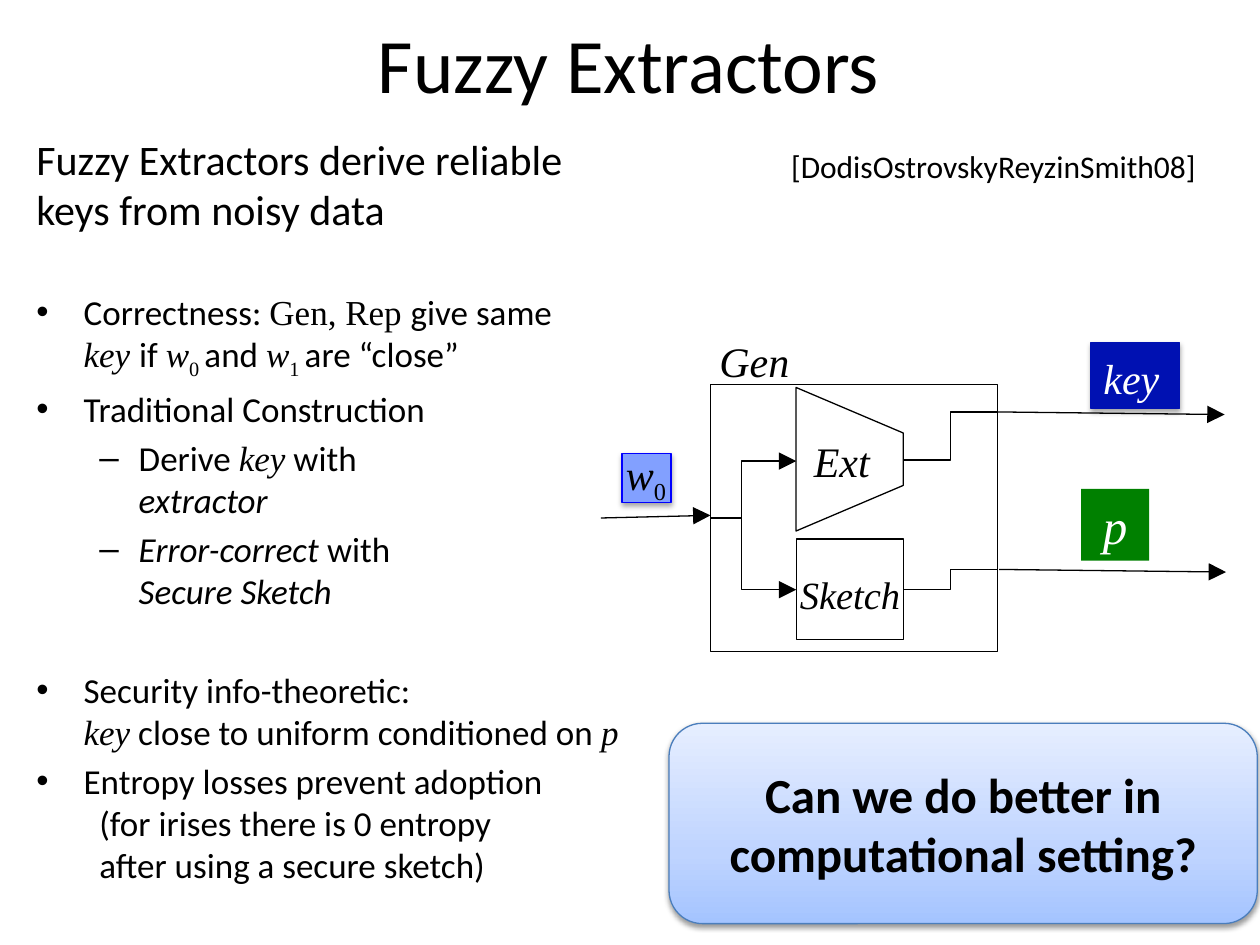
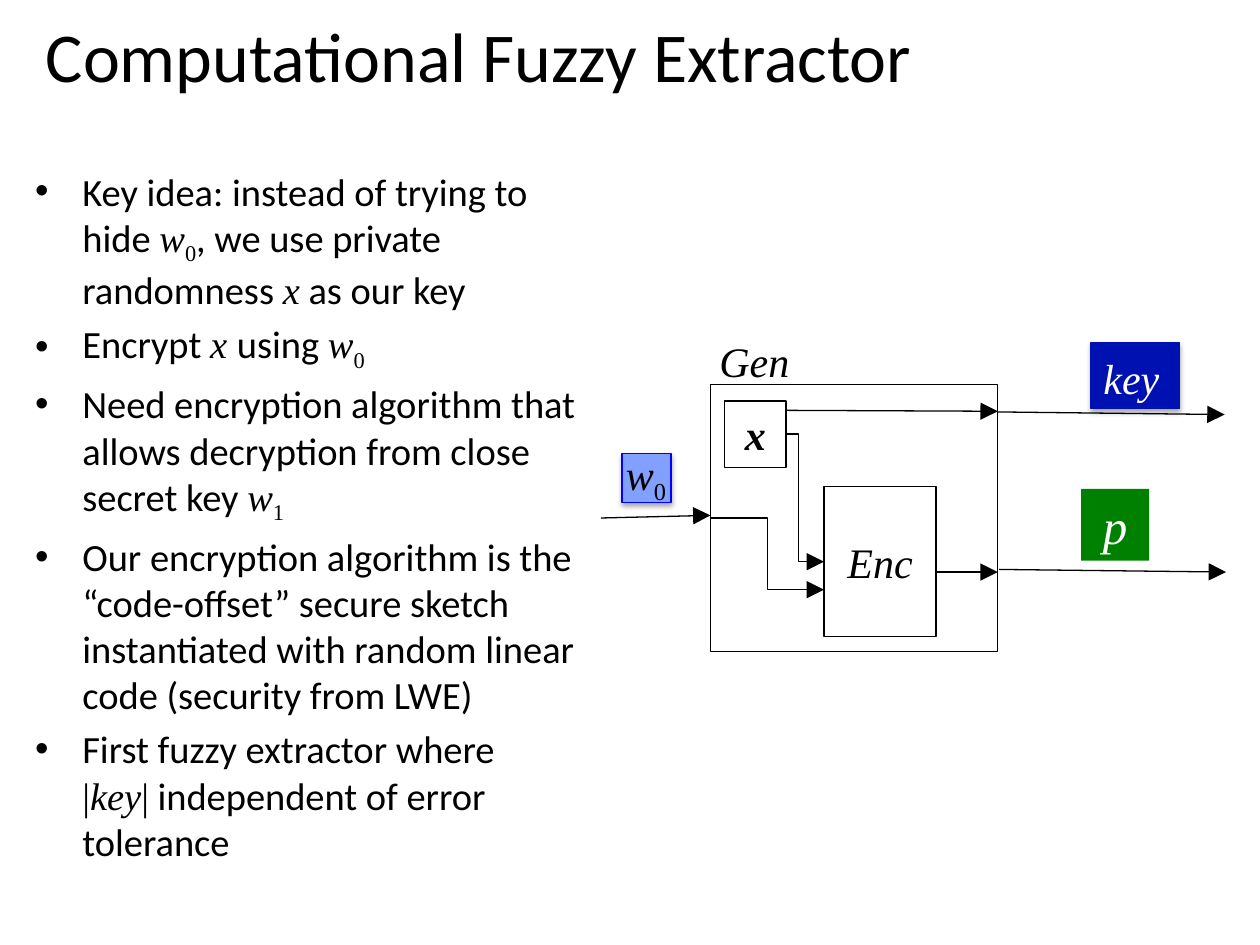
from lxml.etree import SubElement
from pptx import Presentation
from pptx.dml.color import RGBColor
from pptx.enum.shapes import MSO_CONNECTOR, MSO_SHAPE
from pptx.enum.text import MSO_ANCHOR, MSO_AUTO_SIZE, PP_ALIGN
from pptx.oxml.ns import qn
from pptx.util import Pt

SANS, SERIF = "Calibri", "Times New Roman"
BLACK, WHITE = "000000", "FFFFFF"
MATH = {"name": SERIF, "italic": True}
ROMAN = {"name": SERIF}
SLANT = {"italic": True}
SUB = {"name": SERIF, "baseline": -25}


def color(code):
    return RGBColor.from_string(code)


def assign(target, values):
    for key, value in values.items():
        setattr(target, key, value)


def math(text):
    return text, MATH


def sub(text):
    return text, SUB


class Slides:
    def __init__(self):
        self.deck = Presentation()
        assign(self.deck, {"slide_width": Pt(720), "slide_height": Pt(540)})
        self.page = None

    def start(self, title, size, left, top, width):
        self.page = self.deck.slides.add_slide(self.deck.slide_layouts[6])
        box = self.text(left, top, width, 90, [title], size, wrap=True, align=PP_ALIGN.CENTER)
        assign(box.text_frame, {"vertical_anchor": MSO_ANCHOR.MIDDLE, "auto_size": MSO_AUTO_SIZE.NONE})

    def spans(self, para, parts, size, ink=BLACK, **base):
        for part in parts:
            text, style = (part, {}) if isinstance(part, str) else part
            style = {"name": SANS, "size": Pt(size), **base, **style}
            shift = style.pop("baseline", None)
            for index, line in enumerate(text.split("\n")):
                if index:
                    para.add_line_break()
                if not line:
                    continue
                span = para.add_run()
                span.text = line
                assign(span.font, style)
                span.font.color.rgb = color(ink)
                if shift:
                    span._r.get_or_add_rPr().set("baseline", str(shift * 1000))

    def text(self, left, top, width, height, parts, size, ink=BLACK, wrap=False, align=PP_ALIGN.LEFT):
        box = self.page.shapes.add_textbox(Pt(left), Pt(top), Pt(width), Pt(height))
        assign(box.text_frame, {"word_wrap": wrap, "auto_size": MSO_AUTO_SIZE.SHAPE_TO_FIT_TEXT})
        para = box.text_frame.paragraphs[0]
        para.alignment = align
        self.spans(para, parts, size, ink)
        return box

    def body(self, left, top, width, height, size, items, intro=None):
        box = self.page.shapes.add_textbox(Pt(left), Pt(top), Pt(width), Pt(height))
        box.text_frame.word_wrap = True
        para = box.text_frame.paragraphs[0]
        if intro:
            para.space_before = Pt(4.8)
            self.spans(para, [intro], 24)
            para = box.text_frame.add_paragraph()
        for index, (level, gap, parts) in enumerate(items):
            if index:
                para = box.text_frame.add_paragraph()
            assign(para, {"level": level, "space_before": Pt(size * 0.2 + gap)})
            margin, hang, mark = [(27, 27, "•"), (58.5, 22.5, "–")][level]
            props = para._p.get_or_add_pPr()
            for key, value in {"marL": Pt(margin), "indent": -Pt(hang), "defTabSz": Pt(36)}.items():
                props.set(key, str(int(value)))
            SubElement(props, qn("a:buFont"), typeface="Arial")
            SubElement(props, qn("a:buChar"), char=mark)
            self.spans(para, parts, size)

    def shape(self, left, top, width, height, kind=MSO_SHAPE.RECTANGLE, fill=None, line=BLACK, weight=0.75):
        shape = self.page.shapes.add_shape(kind, Pt(left), Pt(top), Pt(width), Pt(height))
        shape.shadow.inherit = False
        if fill:
            shape.fill.solid()
            shape.fill.fore_color.rgb = color(fill)
        else:
            shape.fill.background()
        if line:
            shape.line.color.rgb = color(line)
            shape.line.width = Pt(weight)
        else:
            shape.line.fill.background()
        return shape

    def label(self, shape, text, size, ink=BLACK, inset=None, **style):
        frame = shape.text_frame
        frame.word_wrap = True
        if inset:
            assign(frame, {f"margin_{side}": Pt(inset) for side in ("left", "top", "right", "bottom")})
        para = frame.paragraphs[0]
        para.alignment = PP_ALIGN.CENTER
        self.spans(para, [text], size, ink, **style)

    def shadow(self, shape, distance, opacity):
        effects = shape._element.spPr.find(qn("a:effectLst"))
        outer = SubElement(effects, qn("a:outerShdw"), blurRad=str(Pt(3.1)), dist=str(Pt(distance)),
                           dir="5400000", rotWithShape="0")
        tint = SubElement(outer, qn("a:srgbClr"), val=BLACK)
        SubElement(tint, qn("a:alpha"), val=str(opacity * 1000))

    def gradient(self, shape, stops):
        shape.fill.gradient()
        shape.fill.gradient_angle = 90
        stop_list = shape._element.spPr.find(".//" + qn("a:gsLst"))
        for stop in list(stop_list):
            stop_list.remove(stop)
        for place, code in stops:
            stop = SubElement(stop_list, qn("a:gs"), pos=str(place * 1000))
            SubElement(stop, qn("a:srgbClr"), val=code)

    def wire(self, start, end, bend=None, arrow=True):
        kind = MSO_CONNECTOR.ELBOW if bend else MSO_CONNECTOR.STRAIGHT
        wire = self.page.shapes.add_connector(kind, *[Pt(value) for value in start + end])
        wire.line.color.rgb = color(BLACK)
        wire.line.width = Pt(0.75)
        props = wire._element.spPr
        if arrow:
            SubElement(props.find(qn("a:ln")), qn("a:tailEnd"), type="triangle", w="lg", len="lg")
        SubElement(props, qn("a:effectLst"))
        if bend:
            guides = props.find(".//" + qn("a:avLst"))
            if guides is None:
                guides = SubElement(props.find(qn("a:prstGeom")), qn("a:avLst"))
            SubElement(guides, qn("a:gd"), name="adj1", fmla=f"val {round(bend * 100000)}")

    def generator(self):
        key_box = self.shape(623.5, 195.8, 50.4, 37.5, fill="0011B2", line="0011B2")
        input_box = self.shape(355.5, 259.2, 28, 28, fill="82A0FF", line="0000FF")
        for box in (key_box, input_box):
            self.shadow(box, 1.8, 35)
        self.shape(406, 219.6, 164.2, 152.6)
        self.text(404, 188, 62.6, 36, [math("Gen")], 24)
        self.wire((343.4, 296), (406, 294.5))
        self.wire((570.2, 235.4), (699.8, 236.9))
        self.wire((571, 325.4), (700.6, 326.9))
        self.text(350.6, 252.7, 41.8, 36, [math("w"), sub("0")], 24)
        self.text(623.5, 198, 54.7, 36, [math("key")], 24, WHITE)
        public_box = self.shape(617.8, 279.4, 38.9, 41, fill="008000", line=None)
        self.label(public_box, "p", 28, WHITE, **MATH)
        assign(public_box.text_frame, {"word_wrap": False, "auto_size": MSO_AUTO_SIZE.SHAPE_TO_FIT_TEXT})


slides = Slides()
INPUT = (406, 296)

slides.start("Fuzzy Extractors", 44, 35.3, -9.4, 648)
slides.body(13.7, 72.7, 347, 263.5, 20, [
    (0, 28.4, ["Correctness: ", ("Gen, Rep ", ROMAN), "give same\n", math("key "), "if ", math("w"), sub("0 "),
               "and ", math("w"), sub("1 "), "are “close”"]),
    (0, 0, ["Traditional Construction"]),
    (1, 0, ["Derive ", math("key"), " with\n", ("extractor", SLANT)]),
    (1, 0, [("Error-correct ", SLANT), "with\n", ("Secure Sketch", SLANT)]),
    (0, 28.4, ["Security info-theoretic:\n", math("key"), " close to uniform conditioned on ", math("p")]),
    (0, 0, ["Entropy losses prevent adoption\n\t(for irises there is 0 entropy\n\tafter using a secure sketch)"]),
], intro="Fuzzy Extractors derive reliable keys from noisy data")
callout = slides.shape(382.3, 413.3, 336.2, 114.5, MSO_SHAPE.ROUNDED_RECTANGLE, line="4B7EBC")
slides.gradient(callout, [(0, "A4C4FF"), (35, "BFD4FF"), (100, "E6EEFF")])
slides.shadow(callout, 1.6, 38)
slides.label(callout, "Can we do better in computational setting?", 28, inset=3.6, bold=True)
slides.generator()
slides.wire(INPUT, (455, 263.5), bend=0.36)
extractor = slides.shape(444.5, 231.8, 82, 61.2, MSO_SHAPE.TRAPEZOID)
extractor.rotation = 90
extractor.adjustments[0] = 0.425
slides.text(458, 245.5, 54.7, 36, [math("Ext")], 24)
slides.wire((570.2, 235.4), (516.2, 262.8), bend=0.5, arrow=False)
slides.wire(INPUT, (455, 337), bend=0.36)
slides.shape(455, 308, 61.2, 57.6)
slides.text(450, 322.6, 80, 33.8, [math("Sketch")], 22)
slides.wire((570.2, 325.4), (516.2, 337), bend=0.5, arrow=False)
slides.text(445, 80.6, 254.2, 51, ["[DodisOstrovskyReyzinSmith08]"], 18, wrap=True)

slides.start("Computational Fuzzy Extractor", 40, -72, -13.7, 691.2)
slides.body(13, 92.2, 331.2, 371.5, 22, [
    (0, 0, ["Key idea: instead of trying to hide ", math("w"), sub("0"), ", we use private randomness ",
            math("x"), " as our key"]),
    (0, 0, ["Encrypt ", math("x "), "using ", math("w"), sub("0")]),
    (0, 0, ["Need encryption algorithm that allows decryption from close secret key ", math("w"), sub("1")]),
    (0, 0, ["Our encryption algorithm is the “code-offset” secure sketch instantiated with random linear code "
            "(security from LWE)"]),
    (0, 0, ["First fuzzy extractor where\n", ("|", ROMAN), math("key"), ("|", ROMAN),
            " independent of error tolerance"]),
])
cipher = slides.shape(470.9, 278, 64, 85.7, weight=1)
slides.label(cipher, "Enc", 24, **MATH)
slides.generator()
secret = slides.shape(414, 229, 35.3, 38.2, fill=WHITE, weight=1)
slides.label(secret, "x", 24, bold=True, **MATH)
slides.wire(INPUT, (470.9, 337), bend=0.5)
slides.wire((449.3, 248), (470.9, 321), bend=0.33)
slides.wire((449.3, 234.5), (570.2, 235))
slides.wire((535, 326.9), (570.2, 326.9))

slides.deck.save("out.pptx")
